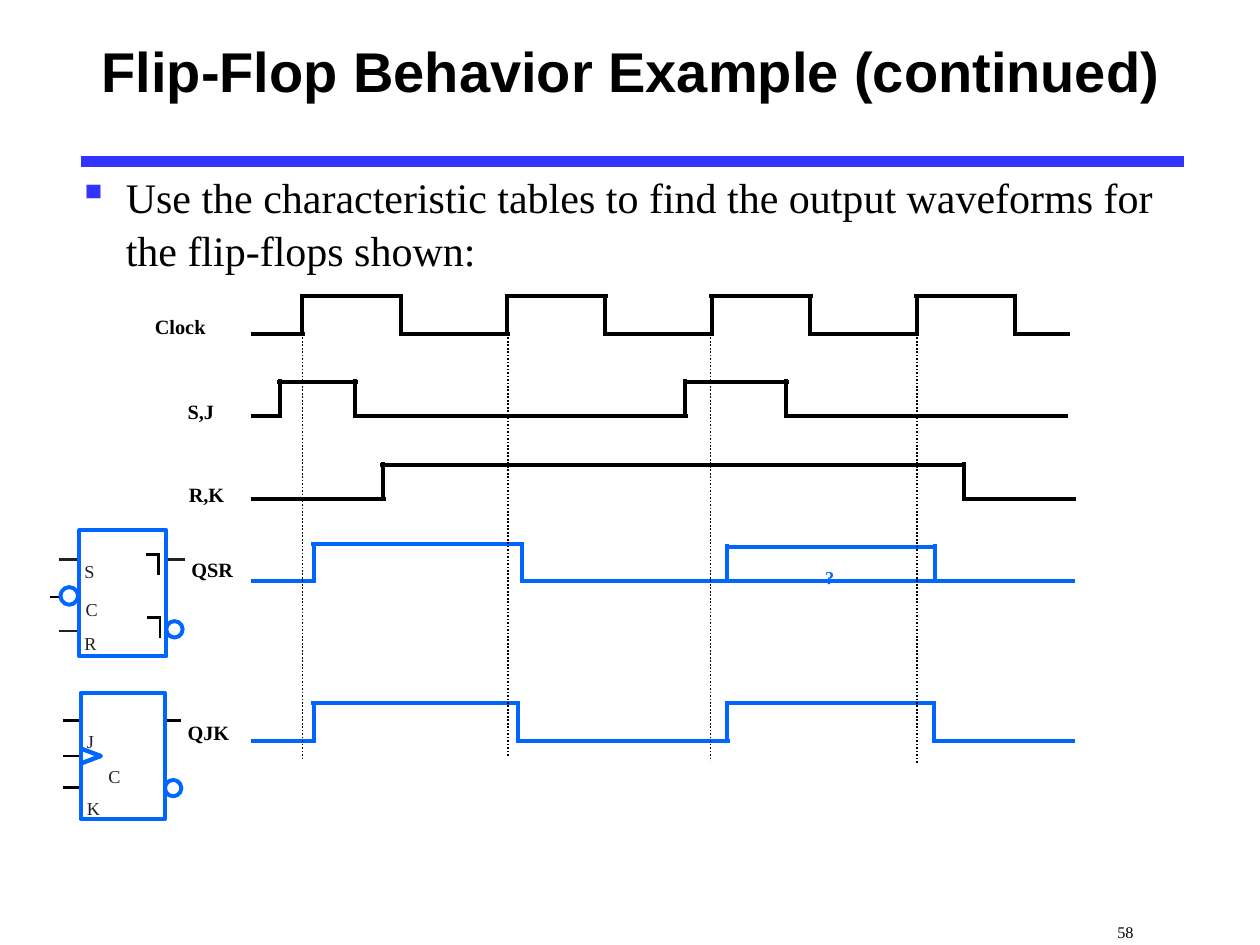
from lxml import etree
from pptx import Presentation
from pptx.dml.color import RGBColor
from pptx.enum import dml, shapes, text
from pptx.oxml.ns import qn
from pptx.util import Inches, Pt

BLACK = RGBColor(0x00, 0x00, 0x00)
INK = RGBColor(0x23, 0x1F, 0x20)
BLUE = RGBColor(0x00, 0x66, 0xFF)
RULE = RGBColor(0x33, 0x33, 0xFF)
WHITE = RGBColor(0xFF, 0xFF, 0xFF)
SERIF = "Times New Roman"

prs = Presentation()
prs.slide_width, prs.slide_height = Inches(10), Inches(7.5)
slide = prs.slides.add_slide(prs.slide_layouts[6])
art = slide.shapes


def line(x1, y1, x2, y2, color=BLACK, width=2.25):
    wire = art.add_connector(shapes.MSO_CONNECTOR.STRAIGHT,
                             Inches(x1), Inches(y1), Inches(x2), Inches(y2))
    wire.line.color.rgb = color
    wire.line.width = Pt(width)
    etree.SubElement(wire._element.spPr, qn("a:effectLst"))
    return wire


def label(words, x, y, w, h, size, color=BLACK, bold=False, font=SERIF,
          pad=True, drop=True):
    """Add a text box; drop sets its runs small and low, as subscripts."""
    box = art.add_textbox(Inches(x), Inches(y), Inches(w), Inches(h))
    frame = box.text_frame
    frame.word_wrap = pad
    if not pad:
        frame.margin_left = frame.margin_right = 0
        frame.margin_top = frame.margin_bottom = 0
    for word in words:
        run = frame.paragraphs[0].add_run()
        run.text = word
        run.font.name, run.font.size = font, Pt(size)
        run.font.bold, run.font.color.rgb = bold, color
        if drop:
            run.font._element.set("baseline", "-25000")
    return frame


# Title, rule and task
line(0.64, 1.28, 9.4, 1.28, RULE, 6)
head = label(["Flip-Flop Behavior Example (continued)"], 0.71, 0, 8.74, 1.12,
             32, bold=True, font="Arial", drop=False)
head.vertical_anchor = text.MSO_ANCHOR.MIDDLE
task = label(["Use the characteristic tables to find the output waveforms "
              "for the flip-flops shown:"],
             0.52, 1.29, 8.86, 1, 24, drop=False)
para = task.paragraphs[0]
para.line_spacing = 1.05
props = para._p.get_or_add_pPr()
props.set("marL", str(Inches(0.38)))
props.set("indent", str(Inches(-0.38)))
tint = etree.SubElement(props, qn("a:buClr"))
etree.SubElement(tint, qn("a:srgbClr")).set("val", str(RULE))
etree.SubElement(props, qn("a:buChar")).set("char", "▪")

# Flip-flop symbols: pins, letters, body, output bubble
for x, y, w, ends, pins, right, ink, width, marks, bub in (
    (0.63, 4.21, 0.69, (0.47, 1.47), (4.44, 4.74, 5.01), 4.44, INK, 1.25,
     (("S", 0.67, 4.28), ("C", 0.68, 4.58), ("R", 0.67, 4.85)), (1.32, 4.93)),
    (0.64, 5.5, 0.67, (0.5, 1.44), (5.72, 6, 6.25), 5.72, BLACK, 1.5,
     (("J", 0.69, 5.63), ("C", 0.86, 5.91), ("K", 0.69, 6.16)), (1.31, 6.19)),
):
    for pin in pins:
        line(ends[0], pin, x, pin, ink, width)
    line(x + w, right, ends[1], right, ink, width)
    for mark, left, top in marks:
        label([mark], left, top, 0.18, 0.3, 18, INK, pad=False)
    body = art.add_shape(shapes.MSO_SHAPE.RECTANGLE,
                         Inches(x), Inches(y), Inches(w), Inches(1))
    body.fill.background()
    dot = art.add_shape(shapes.MSO_SHAPE.OVAL, Inches(bub[0]), Inches(bub[1]),
                        Inches(0.13), Inches(0.13))
    dot.fill.solid()
    dot.fill.fore_color.rgb = WHITE
    for part in (body, dot):
        part.line.color.rgb = BLUE
        part.line.width = Pt(2.25)
        part.shadow.inherit = False

# Inverted clock and delayed outputs of the SR symbol
line(0.47, 4.74, 0.4, 4.74, width=1)
dot = art.add_shape(shapes.MSO_SHAPE.OVAL, Inches(0.48), Inches(4.66),
                    Inches(0.14), Inches(0.14))
dot.fill.solid()
dot.fill.fore_color.rgb = WHITE
dot.line.color.rgb = BLUE
dot.line.width = Pt(2.25)
dot.shadow.inherit = False
for x, y in ((1.16, 4.4), (1.17, 4.9)):
    line(x, y, x + 0.11, y, width=1.5)
    line(x + 0.1, y, x + 0.1, y + 0.16, width=1.5)

# Edge-triggered clock of the JK symbol
pen = art.build_freeform(Inches(0.64), Inches(5.94), scale=1.0)
pen.add_line_segments([(Inches(0.8), Inches(6)), (Inches(0.64), Inches(6.06))],
                      close=False)
edge = pen.convert_to_shape()
edge.fill.background()
edge.line.color.rgb = BLUE
edge.line.width = Pt(2.5)
edge.shadow.inherit = False

# Waveforms: colour, low level, right end, pulses (rise, fall, high level)
START, LAP = 1.99, 0.02
clock = [(2.4 + 1.625 * i, 3.18 + 1.625 * i, 2.35) for i in range(4)]
for color, low, end, pulses in (
    (BLACK, 2.65, 8.49, clock),
    (BLACK, 3.3, 8.48, [(2.22, 2.82, 3.03), (5.44, 6.24, 3.03)]),
    (BLACK, 3.96, 8.54, [(3.04, 7.65, 3.69)]),
    (BLUE, 4.61, 8.53, [(2.49, 4.14, 4.32), (5.77, 7.42, 4.34)]),
    (BLUE, 5.88, 8.53, [(2.49, 4.11, 5.58), (5.77, 7.41, 5.58)]),
):
    x = START
    for rise, fall, high in pulses:
        line(x, low, rise + LAP, low, color)
        line(rise, low + LAP, rise, high - LAP, color)
        line(rise - LAP, high, fall + LAP, high, color)
        line(fall, high - LAP, fall, low + LAP, color)
        x = fall
    line(x, low, end, low, color)
line(5.77, 4.61, 7.42, 4.61, BLUE)

for words, x, y, w in (
    (["Clock"], 1.13, 2.26, 0.91),
    (["S,J"], 1.39, 2.93, 0.68),
    (["R,K"], 1.4, 3.59, 0.77),
    (["Q", "SR"], 1.42, 4.19, 0.73),
    (["Q", "JK"], 1.39, 5.48, 0.73),
):
    label(words, x, y, w, 0.43, 20, bold=True)
label(["?"], 6.45, 4.28, 0.68, 0.4, 18, BLUE, bold=True)

# Rising clock edges
for x, foot in ((2.4, 6.03), (4.03, 6.01), (5.64, 6.04), (7.28, 6.06)):
    guide = line(x, 2.65, x, foot, width=1)
    guide.line.dash_style = dml.MSO_LINE.ROUND_DOT

label(["58"], 8.77, 7.12, 1.23, 0.38, 16)

prs.save("out.pptx")
